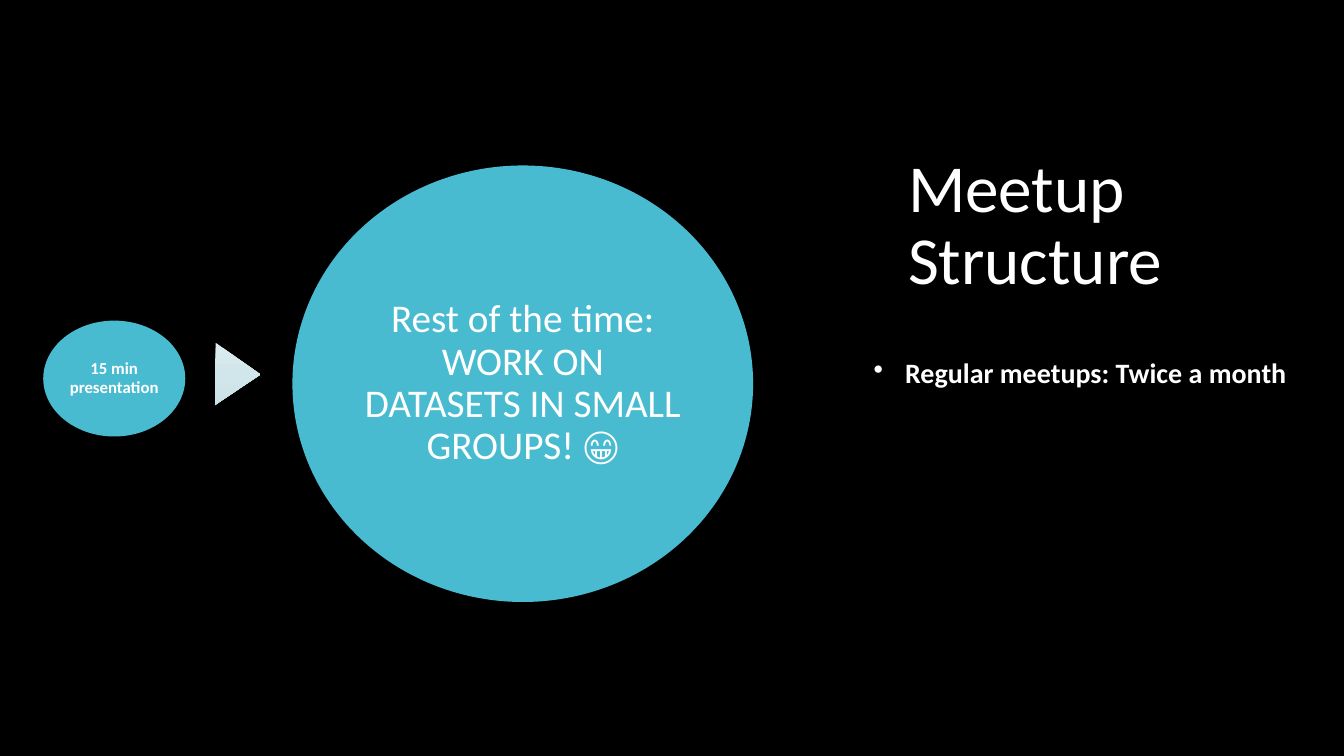
import copy
from dataclasses import dataclass

import pptx
import pptx.dml.color
import pptx.enum.shapes
import pptx.enum.text
import pptx.util
from pptx.util import Cm

TITLE = "Meetup Structure"
SCHEDULE = "Regular meetups: Twice a month"
# text, (left, top, width, height) in cm, inset in cm, type size, bold
STAGES = [
    ("15 min presentation", (1.09, 8.08, 3.58, 2.92), 0.05, 12, True),
    ("Rest of the time: WORK ON DATASETS IN SMALL GROUPS! 😁",
     (7.37, 4.17, 11.61, 11.0), 0.1, 28, False),
]
ARROW_BOX = (5.21, 8.86, 1.57, 1.14)
TITLE_BOX = (22.63, 3.76, 9.5, 13.41)
SCHEDULE_BOX = (21.77, 8.84, 11.3, 1.12)


@dataclass(frozen=True)
class Theme:
    font: str = "Calibri"
    background: str = "000000"
    text: str = "FFFFFF"
    circle: str = "49BBD1"
    arrow: tuple = ((0, "DDEDF0"), (0.5, "D1E6EA"), (1, "CBE3E8"))
    title_size: int = 48
    schedule_size: int = 20


THEME = Theme()
SHAPES = pptx.enum.shapes.MSO_SHAPE
ALIGN = pptx.enum.text.PP_ALIGN
ANCHOR = pptx.enum.text.MSO_ANCHOR


def rgb(value):
    return pptx.dml.color.RGBColor.from_string(value)


def lengths(box):
    return [Cm(value) for value in box]


def write(shape, text, size, bold=False, align=ALIGN.LEFT, spacing=0.9):
    """Fill a shape with one styled paragraph and return that paragraph."""
    shape.text_frame.text = text
    para = shape.text_frame.paragraphs[0]
    para.alignment = align
    para.line_spacing = spacing
    for span in para.runs:
        span.font.name = THEME.font
        span.font.size = pptx.util.Pt(size)
        span.font.bold = bold
        span.font.color.rgb = rgb(THEME.text)
    return para


def add_plain_shape(page, kind, box):
    shape = page.shapes.add_shape(kind, *lengths(box))
    shape.shadow.inherit = False
    shape.line.fill.background()
    return shape


def add_stage(page, text, box, inset, size, bold):
    circle = add_plain_shape(page, SHAPES.OVAL, box)
    circle.fill.solid()
    circle.fill.fore_color.rgb = rgb(THEME.circle)
    frame = circle.text_frame
    frame.word_wrap = True
    frame.vertical_anchor = ANCHOR.MIDDLE
    frame.margin_left = frame.margin_right = Cm(inset)
    frame.margin_top = frame.margin_bottom = Cm(inset)
    write(circle, text, size, bold, ALIGN.CENTER)


def add_arrow(page):
    arrow = add_plain_shape(page, SHAPES.ISOSCELES_TRIANGLE, ARROW_BOX)
    arrow.rotation = 90.7
    arrow.fill.gradient()
    arrow.fill.gradient_angle = 270
    gradient = arrow.fill._xPr.gradFill
    gradient.set("rotWithShape", "0")
    stop_list = gradient.gsLst
    stop_list.append(copy.deepcopy(stop_list[0]))
    for stop, (position, color) in zip(arrow.fill.gradient_stops, THEME.arrow):
        stop.position = position
        stop.color.rgb = rgb(color)


def add_title(page):
    title = page.shapes.title
    title.left, title.top, title.width, title.height = lengths(TITLE_BOX)
    title.text_frame.word_wrap = True
    title.text_frame.vertical_anchor = ANCHOR.TOP
    write(title, TITLE, THEME.title_size)


def add_schedule(page):
    box = page.shapes.add_textbox(*lengths(SCHEDULE_BOX))
    box.text_frame.word_wrap = False
    para = write(box, SCHEDULE, THEME.schedule_size, True, spacing=1.0)
    properties = para._p.get_or_add_pPr()
    properties.set("marL", str(Cm(0.79)))
    properties.set("indent", str(-Cm(0.79)))
    bullet = pptx.oxml.parse_xml(
        '<a:buChar xmlns:a="http://schemas.openxmlformats.org/drawingml/2006/main" char="•"/>')
    properties.append(bullet)


def main():
    deck = pptx.Presentation()
    deck.slide_width, deck.slide_height = Cm(33.87), Cm(19.05)
    page = deck.slides.add_slide(deck.slide_layouts.get_by_name("Title Only"))
    page.background.fill.solid()
    page.background.fill.fore_color.rgb = rgb(THEME.background)
    add_title(page)
    for stage in STAGES:
        add_stage(page, *stage)
    add_arrow(page)
    add_schedule(page)
    deck.save("out.pptx")


if __name__ == "__main__":
    main()
